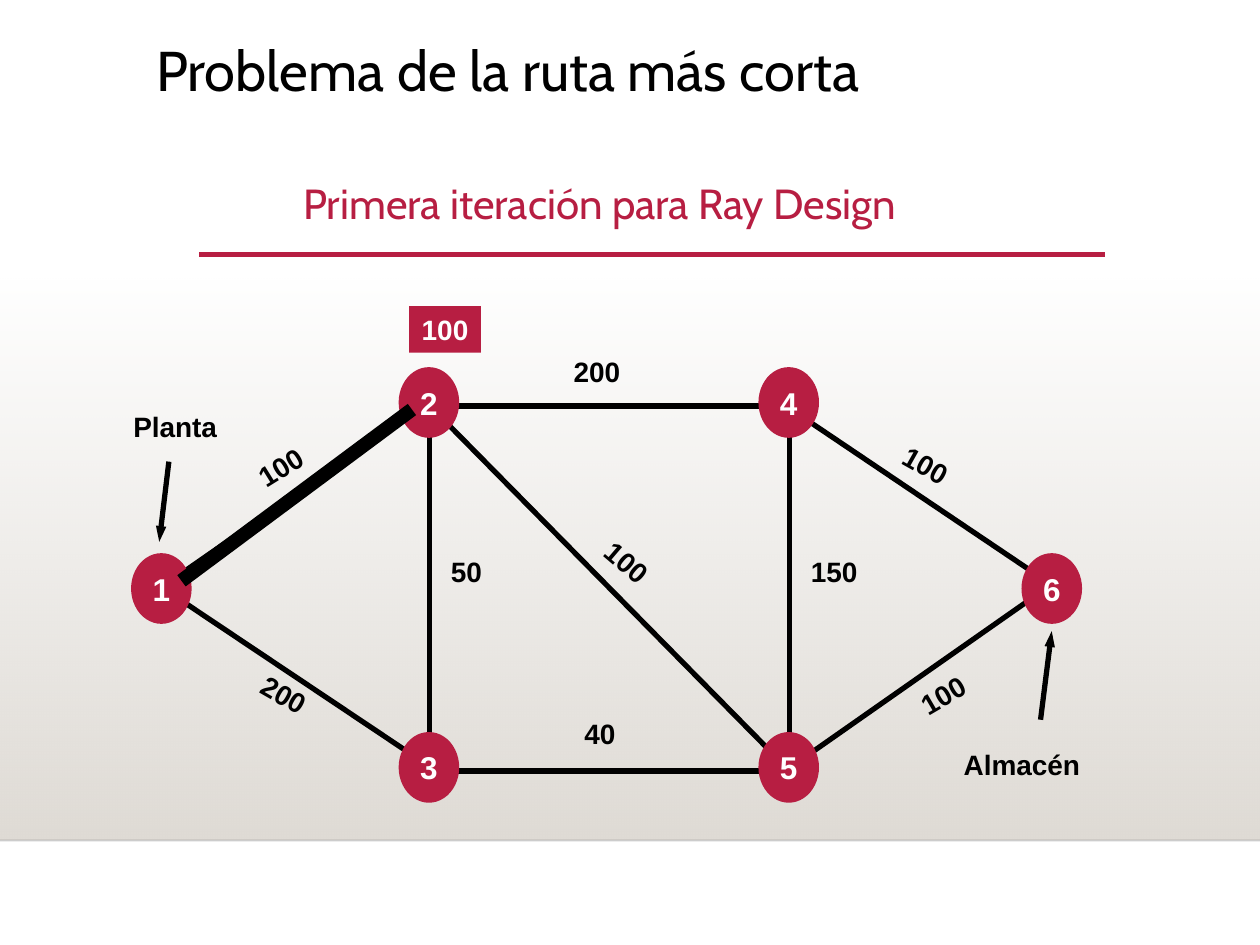
import pptx
import pptx.dml.color
import pptx.enum.dml
import pptx.enum.shapes
import pptx.enum.text
import pptx.oxml.ns
import pptx.util
from lxml import etree

Pt = pptx.util.Pt
RGB = pptx.dml.color.RGBColor.from_string
qn = pptx.oxml.ns.qn
ALIGN = pptx.enum.text.PP_ALIGN
ANCHOR = pptx.enum.text.MSO_ANCHOR
AUTO = pptx.enum.text.MSO_AUTO_SIZE
SHAPE = pptx.enum.shapes.MSO_SHAPE
STRAIGHT = pptx.enum.shapes.MSO_CONNECTOR.STRAIGHT

COLORS = {"black": "000000", "white": "FFFFFF", "red": "B71E42", "sand": "DFDBD5"}


def add_line(shapes, ends, color, width):
    c = shapes.add_connector(STRAIGHT, *[Pt(v) for v in ends])
    c.line.color.rgb = RGB(COLORS[color])
    c.line.width = Pt(width)
    etree.SubElement(c._element.spPr, qn("a:effectLst"))
    return c


def write(sp, text, color, size, font="Arial", bold=True, align=ALIGN.CENTER,
          anchor=ANCHOR.TOP, wrap=False, auto=AUTO.NONE, spacing=1.0):
    tf = sp.text_frame
    for name, value in {"word_wrap": wrap, "auto_size": auto, "vertical_anchor": anchor,
                        "margin_left": Pt(7.2), "margin_right": Pt(7.2),
                        "margin_top": Pt(3.6), "margin_bottom": Pt(3.6)}.items():
        setattr(tf, name, value)
    p = tf.paragraphs[0]
    p.alignment = align
    p.line_spacing = spacing
    r = p.add_run()
    r.text = text
    for name, value in {"name": font, "size": Pt(size), "bold": bold}.items():
        setattr(r.font, name, value)
    r.font.color.rgb = RGB(COLORS[color])


prs = pptx.Presentation()
prs.slide_width, prs.slide_height = Pt(720), Pt(540)
s = prs.slides.add_slide(prs.slide_layouts[5])
title = s.shapes.title

floor = s.shapes.add_shape(SHAPE.RECTANGLE, Pt(0), Pt(158.7), Pt(720), Pt(321.3))
floor.shadow.inherit = False
floor.line.fill.background()
floor.fill.gradient()
floor.fill.gradient_angle = 270
for stop, position in zip(floor.fill.gradient_stops, (0, 1)):
    stop.color.rgb = RGB(COLORS["sand"])
    stop.position = position
first_stop = floor._element.spPr.find(".//" + qn("a:srgbClr"))
etree.SubElement(first_stop, qn("a:alpha"), val="0")

edge = add_line(s.shapes, (0, 480.3, 720, 480.3), "black", 1)
edge_color = edge._element.spPr.find(".//" + qn("a:srgbClr"))
etree.SubElement(edge_color, qn("a:alpha"), val="20000")
add_line(s.shapes, (113.8, 145.5, 631.2, 145.5), "red", 2.5)

title.left, title.top, title.width, title.height = Pt(82), Pt(21), Pt(518), Pt(83)
write(title, "Problema de la ruta más corta", "black", 32, font="Cabin", bold=False,
      align=ALIGN.LEFT, wrap=True, spacing=0.9)

subtitle = s.shapes.add_textbox(Pt(36.7), Pt(92.4), Pt(612), Pt(42))
write(subtitle, "Primera iteración para Ray Design", "red", 24, font="Cabin", bold=False,
      wrap=True, spacing=1.2)

network = s.shapes.add_group_shape().shapes

routes = [
    (98.6, 331.2, 235.4, 236.2),
    (455.8, 435.6, 592.6, 339.8),
    (456.5, 236.9, 593.3, 329),
    (103, 342.7, 239.8, 434.2),
    (250.6, 236.9, 447.8, 437),
    (252.7, 232.1, 443.5, 232.1),
    (254.2, 440.6, 445, 440.6),
    (245.3, 241.2, 245.3, 437.8),
    (451.3, 234.7, 451.3, 431.3),
]
for ends in routes:
    add_line(network, ends, "black", 3)

labels = [
    ("Planta", 69.1, 230.4, 64, 0),
    ("Almacén", 543.6, 423.8, 82, 0),
    ("100", 337.7, 308.2, 41.2, 40.5),
    ("200", 141.8, 383.8, 41.2, 29.8),
    ("50", 250.6, 313.2, 33, 0),
    ("40", 326.9, 406.1, 33, 0),
    ("100", 139.9, 253.7, 41.2, 328.2),
    ("200", 320.7, 199, 41.2, 0),
    ("100", 508.6, 252.5, 41.2, 29.3),
    ("100", 518.4, 383.8, 41.2, 329.7),
    ("150", 456.2, 313.2, 41.2, 0),
]
for text, x, y, width, angle in labels:
    label = network.add_textbox(Pt(x), Pt(y), Pt(width), Pt(26.6))
    label.rotation = angle
    write(label, text, "black", 16, align=ALIGN.LEFT, auto=AUTO.SHAPE_TO_FIT_TEXT)

for ends in [(96.5, 263.8, 91, 309.6), (594.6, 411.3, 601, 360.7)]:
    arrow = add_line(network, ends, "black", 3)
    ln = arrow._element.spPr.find(qn("a:ln"))
    etree.SubElement(ln, qn("a:tailEnd"), type="triangle", w="sm", len="med")

columns = (74.9, 227.8, 433.4, 583.7)
rows = (209.8, 316.1, 418.3)
nodes = [(0, 1), (1, 0), (1, 2), (2, 0), (2, 2), (3, 1)]
for number, (column, row) in enumerate(nodes, 1):
    node = network.add_shape(SHAPE.OVAL, Pt(columns[column]), Pt(rows[row]), Pt(34.6), Pt(40.4))
    node.shadow.inherit = False
    node.fill.solid()
    node.fill.fore_color.rgb = RGB(COLORS["red"])
    node.line.fill.background()
    write(node, str(number), "white", 18, anchor=ANCHOR.MIDDLE)

add_line(s.shapes, (103.7, 331.9, 235.4, 234), "black", 8)

distance = s.shapes.add_shape(SHAPE.RECTANGLE, Pt(233.8), Pt(175), Pt(41), Pt(26.6))
distance.shadow.inherit = False
distance.fill.solid()
distance.fill.fore_color.rgb = RGB(COLORS["red"])
distance.line.fill.background()
write(distance, "100", "white", 16, auto=AUTO.SHAPE_TO_FIT_TEXT)

prs.save("out.pptx")
